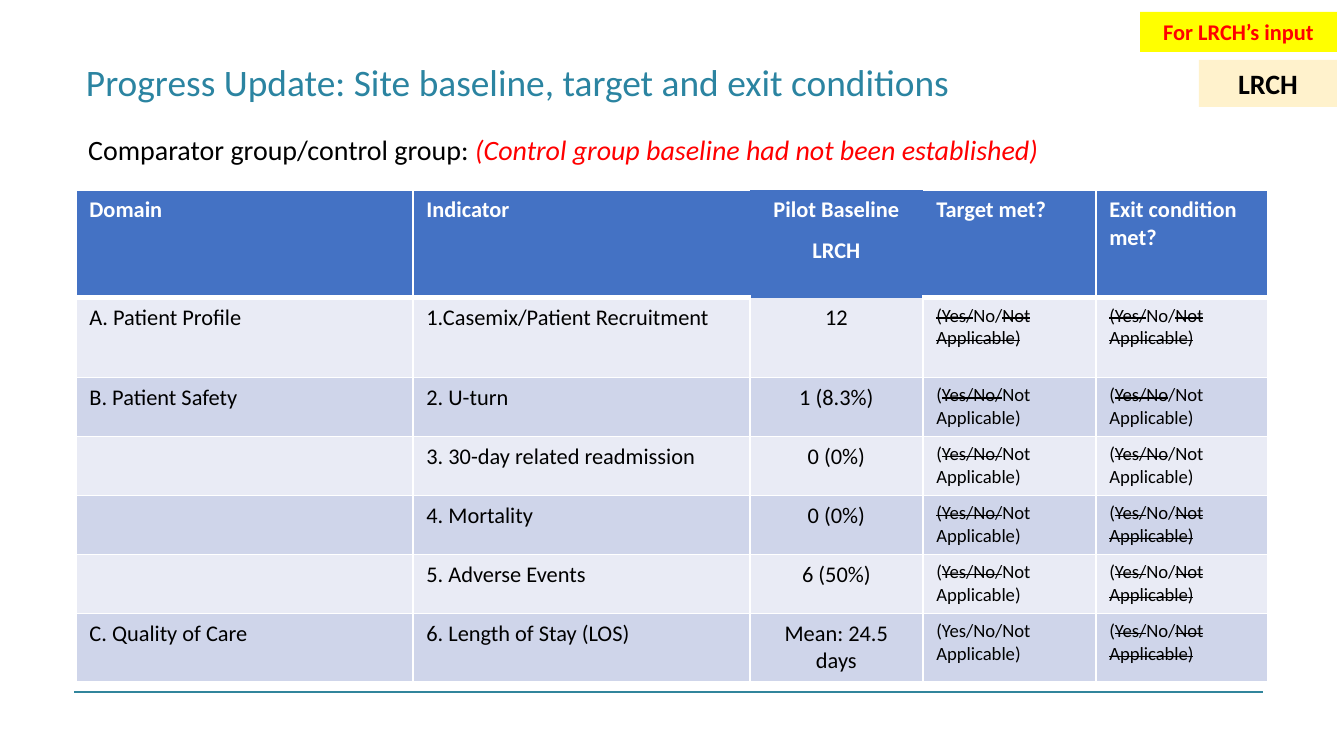
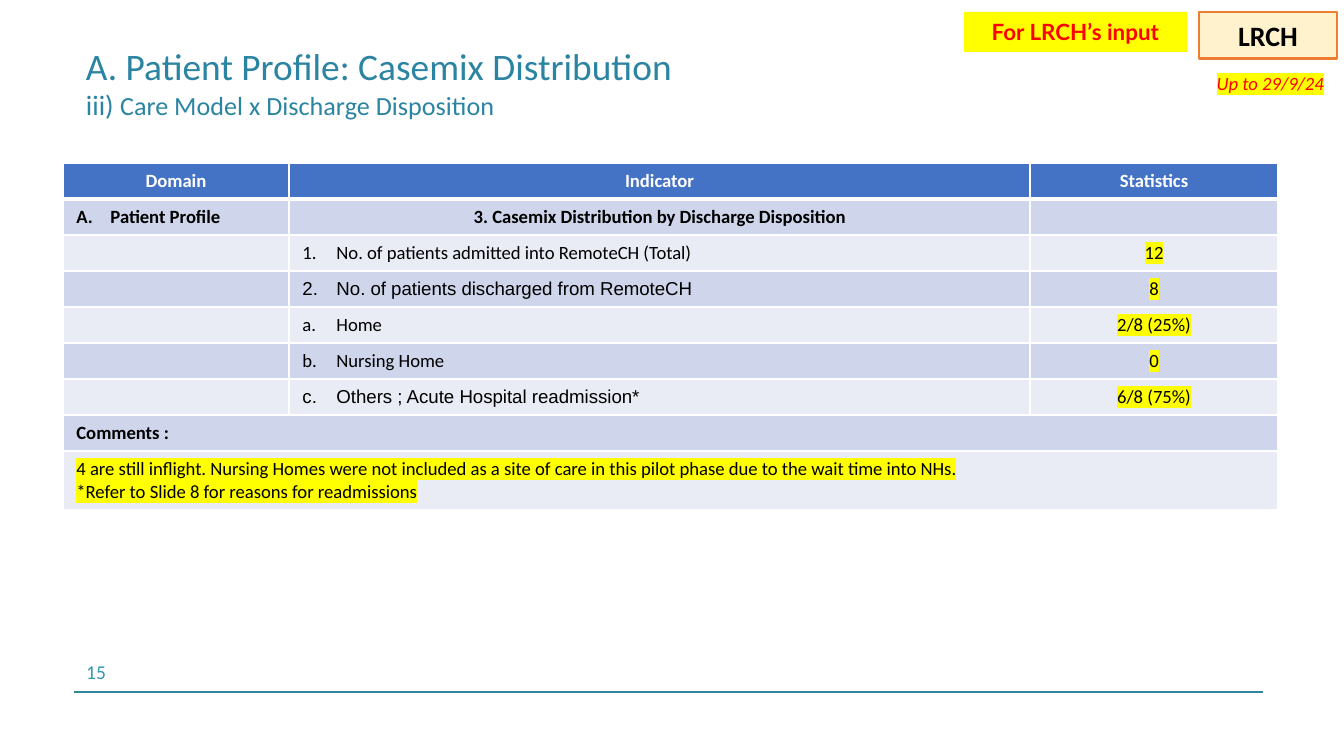
import pptx
import pptx.util
import pptx.dml.color
import pptx.enum.shapes
import pptx.enum.text
from pptx.oxml.ns import qn
from lxml import etree

PX = 914400 / 134.4
COLOURS = {
    "title": "2B84A1", "rule": "31859C", "number": "3596B0",
    "header": "4472C4", "pale": "E9EBF5", "band": "CFD5EA",
    "white": "FFFFFF", "black": "000000", "red": "FF0000",
    "yellow": "FFFF00", "cream": "FFF2CC", "orange": "ED7D31",
}
RGB = {name: pptx.dml.color.RGBColor.from_string(code) for name, code in COLOURS.items()}
ALIGN = pptx.enum.text.PP_ALIGN
MIDDLE = pptx.enum.text.MSO_ANCHOR.MIDDLE


def write(paragraph, text, size, colour, font="Calibri", bold=False, italic=False, highlight=None):
    """Add text to a paragraph; parts between ~ marks are struck through."""
    if not text:
        etree.SubElement(paragraph._p, qn("a:endParaRPr"), sz=str(size * 100))
    for index, part in enumerate(text.split("~")):
        if not part:
            continue
        run = paragraph.add_run()
        run.text = part
        run.font.size = pptx.util.Pt(size)
        run.font.bold = bold
        run.font.italic = italic
        run.font.color.rgb = RGB[colour]
        run.font.name = font
        properties = run._r.get_or_add_rPr()
        if index % 2:
            properties.set("strike", "sngStrike")
        if highlight:
            marker = etree.Element(qn("a:highlight"))
            etree.SubElement(marker, qn("a:srgbClr"), val=COLOURS[highlight])
            properties.find(qn("a:solidFill")).addnext(marker)


def banded_table(slide, left, top, widths, heights, header_rows=1, open_column=None):
    """Add a banded table; the header of open_column has no borders."""
    table = slide.shapes.add_table(
        len(heights), len(widths), *[round(v * PX) for v in (left, top, sum(widths), sum(heights))]).table
    for column, width in zip(table.columns, widths):
        column.width = round(width * PX)
    for r, height in enumerate(heights):
        table.rows[r].height = round(height * PX)
        in_header = r < header_rows
        for c in range(len(widths)):
            cell = table.cell(r, c)
            edges = {"L": 1, "R": 1, "T": 3 if r == header_rows else 1, "B": 3 if r == header_rows - 1 else 1}
            if open_column is not None:
                if c == open_column:
                    for side in "LRTB" if in_header else "T" if r == header_rows else "":
                        edges[side] = 0
                elif in_header and abs(c - open_column) == 1:
                    edges["R" if c < open_column else "L"] = 0
            properties = cell._tc.get_or_add_tcPr()
            for side, points in edges.items():
                border = etree.SubElement(properties, qn("a:ln" + side), w=str(points * 12700))
                if points:
                    paint = etree.SubElement(border, qn("a:solidFill"))
                    etree.SubElement(paint, qn("a:srgbClr"), val=COLOURS["white"])
                else:
                    etree.SubElement(border, qn("a:noFill"))
            cell.fill.solid()
            cell.fill.fore_color.rgb = RGB["header" if in_header else "band" if r % 2 else "pale"]
    return table


deck = pptx.Presentation()
deck.slide_width = round(1344 * PX)
deck.slide_height = round(756 * PX)

# Shared frame: title, rule, and the tags at the top right
# Title lines hold (text, size); tags hold box, fill, outline, text, style
slides = []
for title_lines, tags in [
    ([[("Progress Update: Site baseline, target and exit conditions", 20)]],
     [((1140, 12, 197, 40), "yellow", None, "For LRCH’s input",
       dict(size=12, colour="red", bold=True)),
      ((1199, 60, 138, 47), "cream", None, "LRCH",
       dict(size=15, colour="black", bold=True))]),
    ([[("A. Patient Profile: Casemix Distribution", 20)],
      [("iii) ", 15), ("Care Model x Discharge Disposition", 14)]],
     [((1199, 12, 138, 47), "cream", "orange", "LRCH",
       dict(size=15, colour="black", bold=True)),
      ((1144, 65, 193, 36), "white", None, "Up to 29/9/24",
       dict(size=10, colour="red", italic=True, highlight="yellow")),
      ((964, 12, 223, 40), "yellow", None, "For LRCH’s input",
       dict(size=12, colour="red", bold=True, font="Lato"))]),
]:
    slide = deck.slides.add_slide(deck.slide_layouts[5])
    slides.append(slide)

    title = slide.shapes.title
    title.left, title.top, title.width, title.height = [round(v * PX) for v in (75, 27, 900, 110)]
    frame = title.text_frame
    frame.auto_size = pptx.enum.text.MSO_AUTO_SIZE.NONE
    frame.vertical_anchor = MIDDLE
    frame.margin_left = frame.margin_right = round(11 * PX)
    frame.margin_top = frame.margin_bottom = round(5 * PX)
    heading = frame.paragraphs[0]
    heading.alignment = ALIGN.LEFT
    for number, line in enumerate(title_lines):
        if number:
            heading.add_line_break()
        for text, size in line:
            write(heading, text, size, "title")

    rule = slide.shapes.add_connector(
        pptx.enum.shapes.MSO_CONNECTOR.STRAIGHT, *[round(v * PX) for v in (1263, 692, 74, 692)])
    rule.line.color.rgb = RGB["rule"]
    rule.line.width = pptx.util.Pt(1)
    etree.SubElement(rule._element.spPr, qn("a:effectLst"))

    for box, fill, outline, text, look in tags:
        tag = slide.shapes.add_shape(
            pptx.enum.shapes.MSO_SHAPE.RECTANGLE, *[round(v * PX) for v in box])
        tag.shadow.inherit = False
        tag.fill.solid()
        tag.fill.fore_color.rgb = RGB[fill]
        if outline:
            tag.line.color.rgb = RGB[outline]
            tag.line.width = pptx.util.Pt(1.5)
        else:
            tag.line.fill.background()
        tag.text_frame.word_wrap = True
        tag.text_frame.vertical_anchor = MIDDLE
        tag.text_frame.paragraphs[0].alignment = ALIGN.RIGHT if fill == "white" else ALIGN.CENTER
        write(tag.text_frame.paragraphs[0], text, **look)

baseline_slide, casemix_slide = slides

# Slide 1: comparator statement
comparator = baseline_slide.shapes.add_textbox(*[round(v * PX) for v in (75, 126, 1192, 47)])
comparator.text_frame.word_wrap = True
statement = comparator.text_frame.paragraphs[0]
write(statement, "Comparator group/control group: ", 15, "black")
write(statement, "(Control group baseline had not been established)", 15, "red", italic=True)

# Slide 1: indicators with baseline, target and exit condition
only_no = "~(Yes/~No/~Not Applicable)~"
no_left = "(~Yes/~No/~Not Applicable)~"
not_applicable = "(~Yes/No/~Not Applicable)"
not_applicable_exit = "(~Yes/No~/Not Applicable)"
indicators = [
    ["Domain", "Indicator", "Pilot Baseline", "Target met?", "Exit condition met?"],
    ["", "", "LRCH", "", ""],
    ["A. Patient Profile", "1.Casemix/Patient Recruitment", "12", only_no, only_no],
    ["B. Patient Safety", "2. U-turn", "1 (8.3%)", not_applicable, not_applicable_exit],
    ["", "3. 30-day related readmission", "0 (0%)", not_applicable, not_applicable_exit],
    ["", "4. Mortality", "0 (0%)", "~(Yes/No/~Not Applicable)", no_left],
    ["", "5. Adverse Events", "6 (50%)", not_applicable, no_left],
    ["C. Quality of Care", "6. Length of Stay (LOS)", "Mean: 24.5 days",
     "(Yes/No/Not Applicable)", no_left],
]
baseline = banded_table(baseline_slide, 76, 190, [337, 337, 173, 173, 172],
                        [40, 67, 80, 59, 59, 59, 59, 68], header_rows=2, open_column=2)
for c in (0, 1, 3, 4):
    baseline.cell(0, c).merge(baseline.cell(1, c))
for r, row in enumerate(indicators):
    for c, text in enumerate(row):
        entry = baseline.cell(r, c).text_frame.paragraphs[0]
        entry.alignment = ALIGN.CENTER if c == 2 else ALIGN.LEFT
        if r < 2:
            write(entry, text, 12, "white", bold=True)
        else:
            write(entry, text, 10 if c > 2 else 12, "black")

# Slide 2: slide number
page = casemix_slide.shapes.add_textbox(*[round(v * PX) for v in (73, 653, 160, 38)])
page.text_frame.word_wrap = True
write(page.text_frame.paragraphs[0], "15", 10.5, "number")

# Slide 2: casemix by discharge disposition
dispositions = [
    ["Domain", "Indicator", "Statistics"],
    ["Patient Profile", "3. Casemix Distribution by Discharge Disposition", ""],
    ["", "No. of patients admitted into RemoteCH (Total)", "12"],
    ["", "No. of patients discharged from RemoteCH", "8"],
    ["", "Home", "2/8 (25%)"],
    ["", "Nursing Home", "0"],
    ["", "Others ; Acute Hospital readmission*", "6/8 (75%)"],
    ["Comments :", "", ""],
    ["4 are still inflight. Nursing Homes were not included as a site of care in this pilot phase "
     "due to the wait time into NHs.\n*Refer to Slide 8 for reasons for readmissions", "", ""],
]
numbering = {
    (1, 0): ("alphaUcPeriod", 1),
    (2, 1): ("arabicPeriod", 1), (3, 1): ("arabicPeriod", 2),
    (4, 1): ("alphaLcPeriod", 1), (5, 1): ("alphaLcPeriod", 2), (6, 1): ("alphaLcPeriod", 3),
}
casemix = banded_table(casemix_slide, 63, 163, [226, 741, 248], [36] * 8 + [59])
for r in (7, 8):
    casemix.cell(r, 0).merge(casemix.cell(r, 2))
for r, row in enumerate(dispositions):
    for c, text in enumerate(row):
        cell = casemix.cell(r, c)
        cell.vertical_anchor = MIDDLE
        for number, line in enumerate(text.split("\n")):
            entry = cell.text_frame.add_paragraph() if number else cell.text_frame.paragraphs[0]
            entry.alignment = ALIGN.CENTER if r == 0 or c == 2 or (r, c) == (1, 1) else ALIGN.LEFT
            if (r, c) in numbering:
                scheme, start = numbering[r, c]
                properties = entry._p.get_or_add_pPr()
                properties.set("marL", str(round(34 * PX)))
                properties.set("indent", str(round(-34 * PX)))
                tint = etree.SubElement(properties, qn("a:buClr"))
                etree.SubElement(tint, qn("a:srgbClr"), val=COLOURS["black"])
                etree.SubElement(properties, qn("a:buAutoNum"), type=scheme, startAt=str(start))
            write(entry, line, 10, "black" if r else "white",
                  font="Arial" if c == 1 and r in (3, 6) else "Calibri",
                  bold=r in (0, 1, 7),
                  highlight="yellow" if r == 8 or (c == 2 and r > 1) else None)

deck.save("out.pptx")
